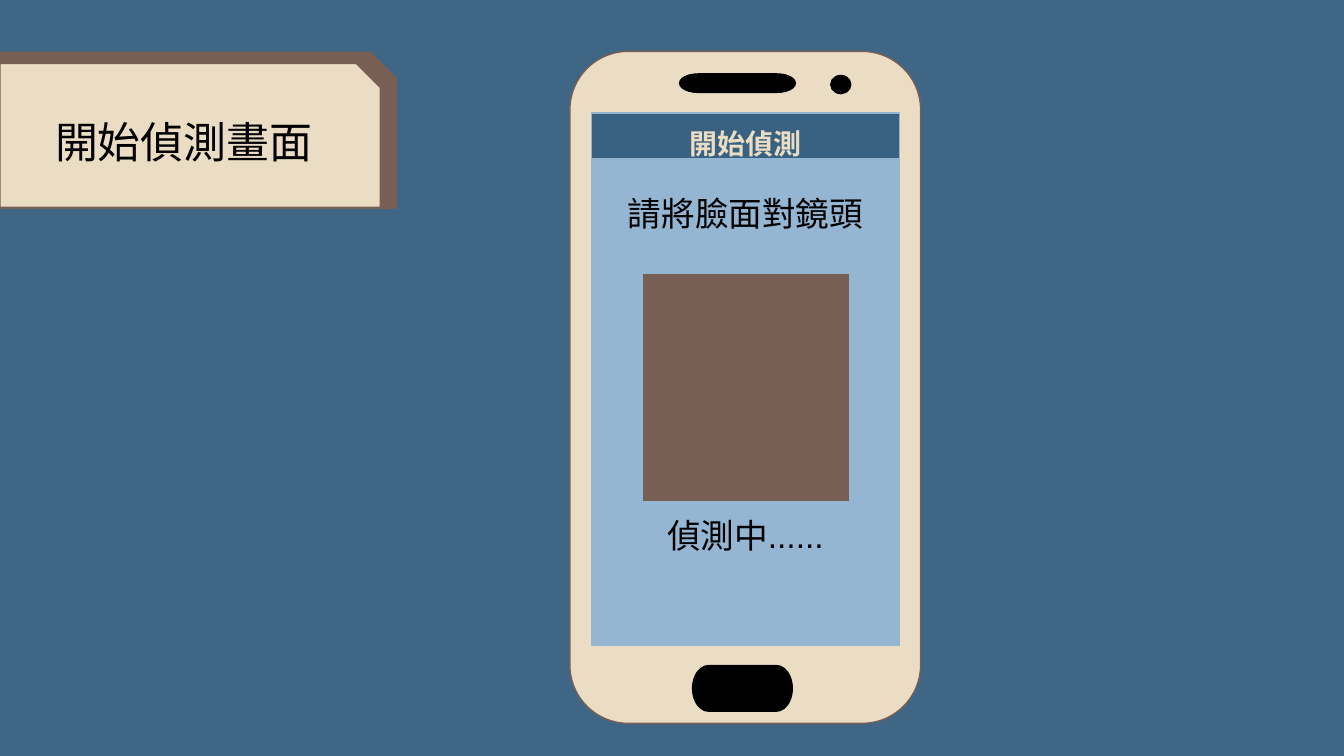
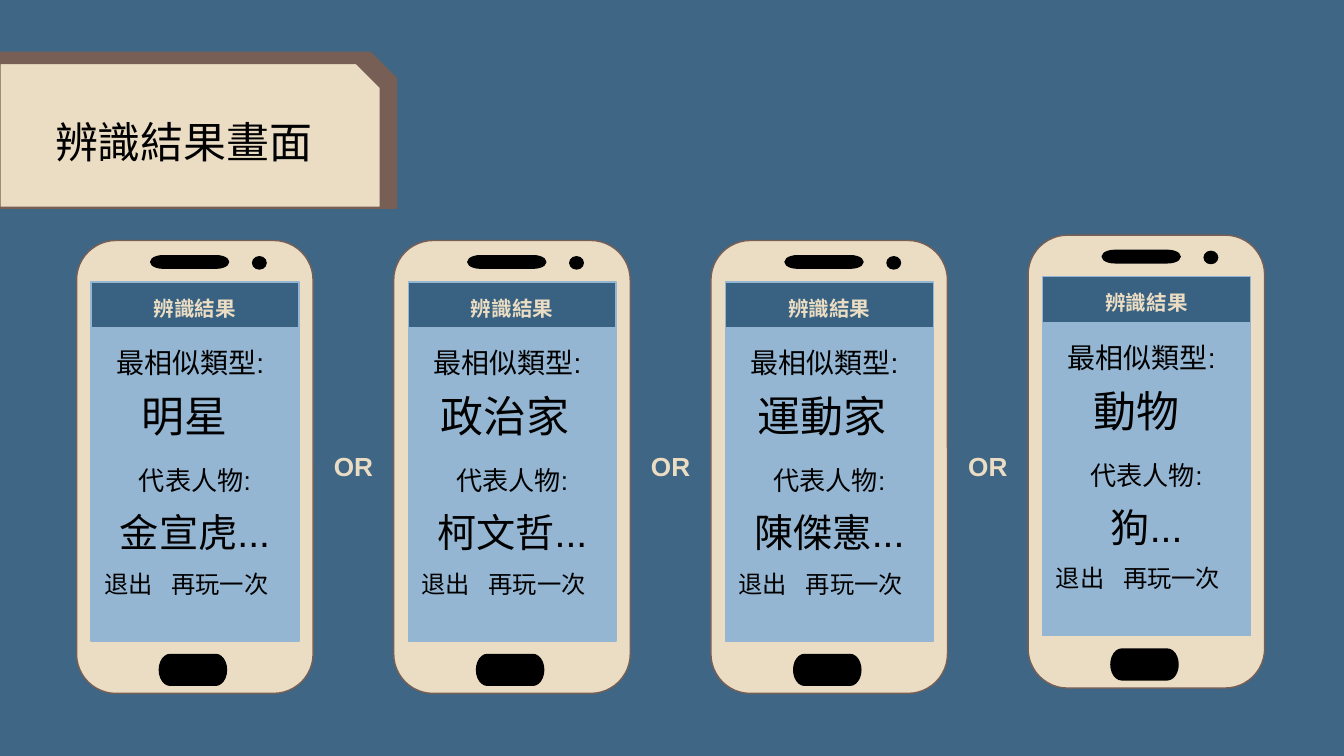
from lxml import etree
from pptx import Presentation
from pptx.dml.color import RGBColor
from pptx.enum.shapes import MSO_SHAPE
from pptx.enum.text import MSO_ANCHOR, MSO_AUTO_SIZE, PP_ALIGN
from pptx.oxml.ns import qn
from pptx.util import Inches, Pt

RECTANGLE = MSO_SHAPE.RECTANGLE
ROUNDED = MSO_SHAPE.ROUNDED_RECTANGLE
SNIPPED = MSO_SHAPE.SNIP_1_RECTANGLE
PILL = MSO_SHAPE.FLOWCHART_TERMINATOR
OVAL = MSO_SHAPE.OVAL
TOP, MIDDLE = MSO_ANCHOR.TOP, MSO_ANCHOR.MIDDLE
LEFT, CENTER = PP_ALIGN.LEFT, PP_ALIGN.CENTER
NO_FIT, GROW = MSO_AUTO_SIZE.NONE, MSO_AUTO_SIZE.SHAPE_TO_FIT_TEXT

NAVY, SKY, CREAM, BROWN, BLACK = "345D7E", "94B6D2", "EBDDC3", "775F55", "000000"
LATIN, CHINESE = "Arial", "Noto Sans CJK TC"
TITLE_ONLY = 5
SLIDE = (0, 0, 10, 10 * 9 / 16)
BAR_HEIGHT = 0.34
INSET = 0.1

TAB_BACK = (0, 6.93, 29.5, 20.62)
TAB_FRONT = (0, 8.4, 28.3, 19.02)
TAB_TEXT = (0, 9.95, 27.4, 17.42)
SCREEN = (6.1, 9.2, 87.9, 79.2)
PHONE_PARTS = [
    (PILL, (31.3, 3.35, 33, 2.75)),
    (OVAL, (74.4, 3.58, 5.7, 2.7)),
    (PILL, (35, 91.4, 28.4, 6.8)),
]
CAMERA_VIEW = (20.7, 33, 59, 34)
OR_LABEL = (100.57, 43.32, 32.95, 13.06)

RESULTS = [
    ("明星", "金宣虎...", 31.82),
    ("政治家", "柯文哲...", 31.82),
    ("運動家", "陳傑憲...", 31.82),
    ("動物", "狗...", 31.11),
]


def color(value):
    return RGBColor.from_string(value)


def within(frame, percents):
    left, top, width, height = frame
    across, down, wide, high = (percent / 100 for percent in percents)
    return left + across * width, top + down * height, wide * width, high * height


def apply(target, values):
    for name, value in values.items():
        setattr(target, name, value)


def fade(element):
    first_color = next(element.iter(qn("a:srgbClr")))
    etree.SubElement(first_color, qn("a:alpha"), val="94000")


def add_block(slide, kind, frame, fill, line):
    shape = slide.shapes.add_shape(kind, *map(Inches, frame))
    shape.shadow.inherit = False
    shape.fill.solid()
    shape.fill.fore_color.rgb = color(fill)
    shape.line.color.rgb = color(line)
    shape.line.width = Pt(0.75)
    return shape


def line_of(text, size, before=0, align=CENTER, indent=0, tab=0, **font):
    return dict(text=text, size=size, before=before, align=align,
                indent=indent, tab=tab, font=font)


def set_indent(paragraph, indent, tab):
    properties = paragraph._p.get_or_add_pPr()
    properties.set("marL", str(Inches(indent)))
    properties.set("indent", "0")
    if tab:
        stops = etree.SubElement(properties, qn("a:tabLst"))
        etree.SubElement(stops, qn("a:tab"), pos=str(Inches(tab)), algn="l")


def write(shape, lines, text_color=BLACK, latin=LATIN, anchor=TOP, top=INSET, fit=NO_FIT):
    text_frame = shape.text_frame
    side = Inches(INSET)
    apply(text_frame, dict(word_wrap=True, auto_size=fit, vertical_anchor=anchor,
                           margin_left=side, margin_right=side,
                           margin_top=Inches(top), margin_bottom=side))
    for number, line in enumerate(lines):
        paragraph = text_frame.add_paragraph() if number else text_frame.paragraphs[0]
        apply(paragraph, dict(alignment=line["align"], space_before=Pt(line["before"])))
        if line["align"] == LEFT:
            set_indent(paragraph, line["indent"], line["tab"])
        run = paragraph.add_run()
        run.text = line["text"]
        apply(run.font, dict(size=Pt(line["size"]), name=latin, **line["font"]))
        run.font.color.rgb = color(text_color)
        east_asian = etree.Element(qn("a:ea"), typeface=CHINESE)
        run.font._element.find(qn("a:latin")).addnext(east_asian)


def add_title_tab(slide, text):
    add_block(slide, SNIPPED, within(SLIDE, TAB_BACK), BROWN, BROWN)
    add_block(slide, SNIPPED, within(SLIDE, TAB_FRONT), CREAM, BROWN)
    title = slide.shapes.title
    frame = map(Inches, within(SLIDE, TAB_TEXT))
    apply(title, dict(zip(("left", "top", "width", "height"), frame)))
    write(title, [line_of(text, 23)], latin=CHINESE, anchor=MIDDLE)
    title.element.getparent().append(title.element)


def add_slide(presentation, title):
    slide = presentation.slides.add_slide(presentation.slide_layouts[TITLE_ONLY])
    slide.background.fill.solid()
    slide.background.fill.fore_color.rgb = color(NAVY)
    fade(slide.element)
    add_title_tab(slide, title)
    return slide


def add_phone(slide, frame, heading, heading_size, lines, text_top):
    add_block(slide, ROUNDED, frame, CREAM, BROWN)
    left, top, width, height = within(frame, SCREEN)
    screen = add_block(slide, RECTANGLE, (left, top, width, height), SKY, SKY)
    write(screen, lines, top=text_top)
    for kind, percents in PHONE_PARTS:
        add_block(slide, kind, within(frame, percents), BLACK, BLACK)
    bar = add_block(slide, RECTANGLE, (left, top, width, BAR_HEIGHT), NAVY, SKY)
    fade(bar.element)
    write(bar, [line_of(heading, heading_size, bold=True)], text_color=CREAM)


def add_or(slide, phone):
    label = slide.shapes.add_textbox(*map(Inches, within(phone, OR_LABEL)))
    write(label, [line_of("OR", 14, bold=True)], text_color=CREAM, fit=GROW)


def result_lines(category, person):
    return [
        line_of("最相似類型:", 15, align=LEFT, indent=0.09),
        line_of(category, 23, before=5.8, align=LEFT, indent=0.14 * (4 - len(category))),
        line_of("代表人物:", 14, before=12.3),
        line_of(person, 21, before=7),
        line_of("退出\t再玩一次", 13, before=7, align=LEFT, tab=0.53),
    ]


def build_detection(presentation):
    slide = add_slide(presentation, "開始偵測畫面")
    phone = within(SLIDE, (42.4, 6.8, 26.1, 88.89))
    lines = [line_of("請將臉面對鏡頭", 18), line_of("偵測中......", 18, before=151)]
    add_phone(slide, phone, "開始偵測", 15, lines, 0.59)
    add_block(slide, RECTANGLE, within(phone, CAMERA_VIEW), BROWN, SKY)


def build_results(presentation):
    slide = add_slide(presentation, "辨識結果畫面")
    for column, (category, person, top) in enumerate(RESULTS):
        phone = within(SLIDE, (5.7 + 23.6 * column, top, 17.6, 59.91))
        add_phone(slide, phone, "辨識結果", 11, result_lines(category, person), 0.47)
        if column < len(RESULTS) - 1:
            add_or(slide, phone)


def main():
    presentation = Presentation()
    apply(presentation, dict(slide_width=Inches(SLIDE[2]), slide_height=Inches(SLIDE[3])))
    build_detection(presentation)
    build_results(presentation)
    presentation.save("out.pptx")


if __name__ == "__main__":
    main()
